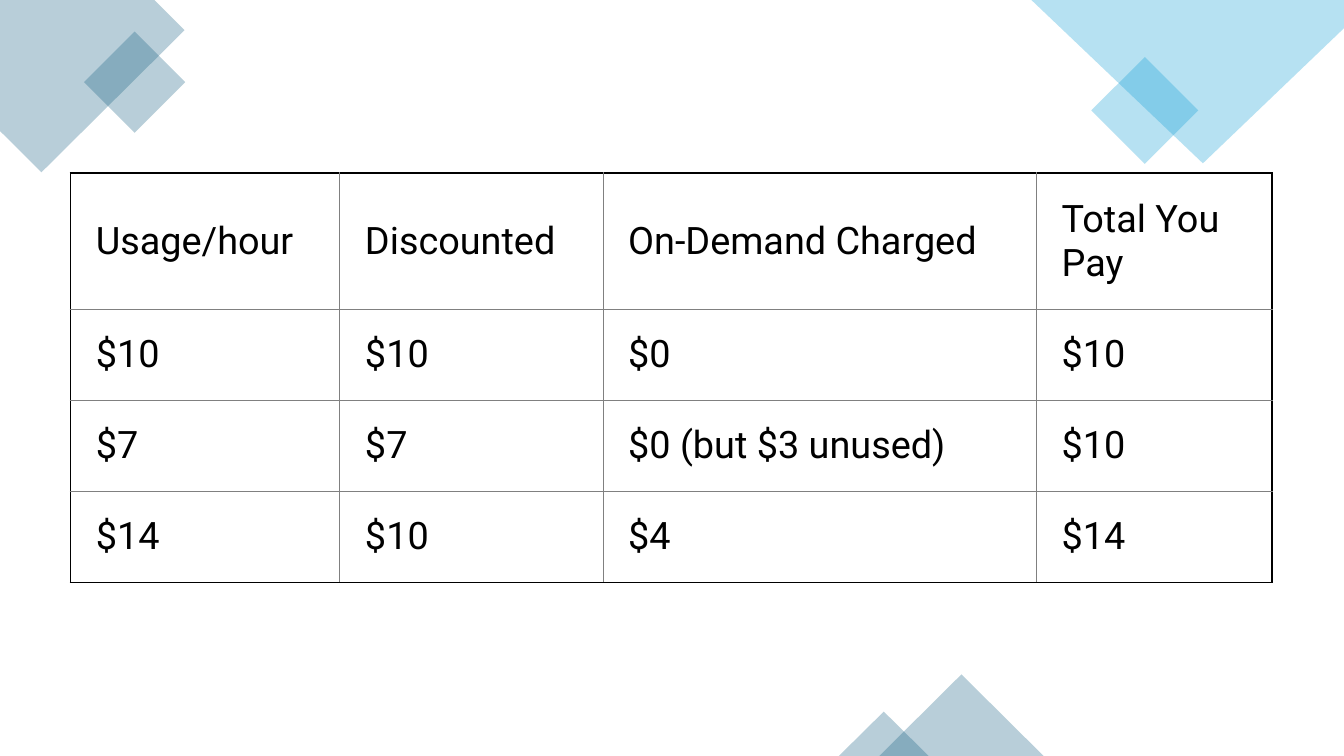
from pptx import Presentation
from pptx.dml.color import RGBColor
from pptx.enum.shapes import MSO_SHAPE as Preset
from pptx.enum.text import MSO_ANCHOR as Anchor
from pptx.oxml import parse_xml
from pptx.oxml.ns import nsdecls
from pptx.util import Inches, Pt

WIDTH, HEIGHT = Inches(13.33), Inches(7.5)
TEAL = RGBColor(0x15, 0x60, 0x82)
SKY = RGBColor(0x0F, 0x9E, 0xD5)
BLACK = RGBColor(0, 0, 0)
GREY = RGBColor(0x80, 0x80, 0x80)
OUTER, INNER = (BLACK, Pt(1.5)), (GREY, Pt(0.5))

CHARGES = [
    ["Usage/hour", "Discounted", "On-Demand Charged", "Total You Pay"],
    ["$10", "$10", "$0", "$10"],
    ["$7", "$7", "$0 (but $3 unused)", "$10"],
    ["$14", "$10", "$4", "$14"],
]
COLUMN_SHARES = [20.03, 19.58, 32.26, 17.55]
ROW_SHARES = [18, 12.04, 12.04, 12.04]
CELL_FORMAT = {
    "vertical_anchor": Anchor.MIDDLE,
    "margin_left": int(WIDTH * 0.0188),
    "margin_right": int(WIDTH * 0.0203),
    "margin_top": int(HEIGHT * 0.0253),
    "margin_bottom": int(HEIGHT * 0.0253),
}
FONT_FORMAT = {"name": "Roboto", "size": Pt(27), "bold": False}


def across(share):
    """Turn a percentage of the slide width into a length."""
    return round(WIDTH * share / 100)


def down(share):
    """Turn a percentage of the slide height into a length."""
    return round(HEIGHT * share / 100)


def apply(target, values):
    """Set each named attribute on the target."""
    for name, value in values.items():
        setattr(target, name, value)


def tint(ornament, color):
    """Give an ornament a flat fill at 30% opacity, without line or shadow."""
    ornament.shadow.inherit = False
    ornament.line.fill.background()
    ornament.fill.solid()
    ornament.fill.fore_color.rgb = color
    shade = ornament.fill._xPr.find(".//{*}srgbClr")
    shade.append(parse_xml(f'<a:alpha {nsdecls("a")} val="30000"/>'))


def add_corner(slide, corners, color):
    """Draw a large diamond cut off by the slide edges."""
    start, *others = [(across(x), down(y)) for x, y in corners]
    outline = slide.shapes.build_freeform(*start)
    outline.add_line_segments(others, close=True)
    tint(outline.convert_to_shape(), color)


def add_diamond(slide, left, top, side, color):
    """Draw a square turned onto its corner."""
    diamond = slide.shapes.add_shape(
        Preset.RECTANGLE, across(left), down(top), across(side), across(side))
    diamond.rotation = 315
    tint(diamond, color)


def add_peak(slide, left, top, width, color):
    """Draw a triangle that stands on the bottom edge."""
    peak = slide.shapes.add_shape(
        Preset.ISOSCELES_TRIANGLE, across(left), down(top), across(width), down(100 - top))
    tint(peak, color)


def add_border(cell, side, color, width):
    """Draw one side of a cell's border."""
    cell._tc.get_or_add_tcPr().append(parse_xml(
        f'<a:ln{side} {nsdecls("a")} w="{width}"><a:solidFill>'
        f'<a:srgbClr val="{color}"/></a:solidFill></a:ln{side}>'))


def fill_cell(cell, text, edges):
    """Write, format and border one table cell."""
    cell.text = text
    apply(cell, CELL_FORMAT)
    font = cell.text_frame.paragraphs[0].runs[0].font
    apply(font, FONT_FORMAT)
    font.color.rgb = BLACK
    for side, is_outer in edges.items():
        add_border(cell, side, *(OUTER if is_outer else INNER))
    cell.fill.background()


def add_charges(slide):
    """Add the table of hourly usage and charges."""
    last_row, last_column = len(ROW_SHARES) - 1, len(COLUMN_SHARES) - 1
    charges = slide.shapes.add_table(
        last_row + 1, last_column + 1, across(5.25), down(22.93),
        across(sum(COLUMN_SHARES)), down(sum(ROW_SHARES))).table
    apply(charges, {"first_row": False, "horz_banding": False})
    for column, share in zip(charges.columns, COLUMN_SHARES):
        column.width = across(share)
    for row, share in zip(charges.rows, ROW_SHARES):
        row.height = down(share)
    for r, entries in enumerate(CHARGES):
        for c, entry in enumerate(entries):
            edges = {"L": c == 0, "R": c == last_column, "T": r == 0, "B": r == last_row}
            fill_cell(charges.cell(r, c), entry, edges)


def main():
    """Build and save the slide."""
    deck = Presentation()
    apply(deck, {"slide_width": WIDTH, "slide_height": HEIGHT})
    slide = deck.slides.add_slide(deck.slide_layouts[6])
    add_corner(slide, [(0, 0), (11.48, 0), (13.73, 4), (3.08, 22.8), (0, 17.33)], TEAL)
    add_diamond(slide, 7.35, 6.13, 5.33, TEAL)
    add_diamond(slide, 82.37, 9.6, 5.63, SKY)
    add_corner(slide, [(100, 0), (76.74, 0), (89.5, 21.6), (100, 3.73)], SKY)
    add_peak(slide, 65.42, 89.2, 12.23, TEAL)
    add_peak(slide, 62.42, 94.13, 6.68, TEAL)
    add_charges(slide)
    deck.save("out.pptx")


if __name__ == "__main__":
    main()
